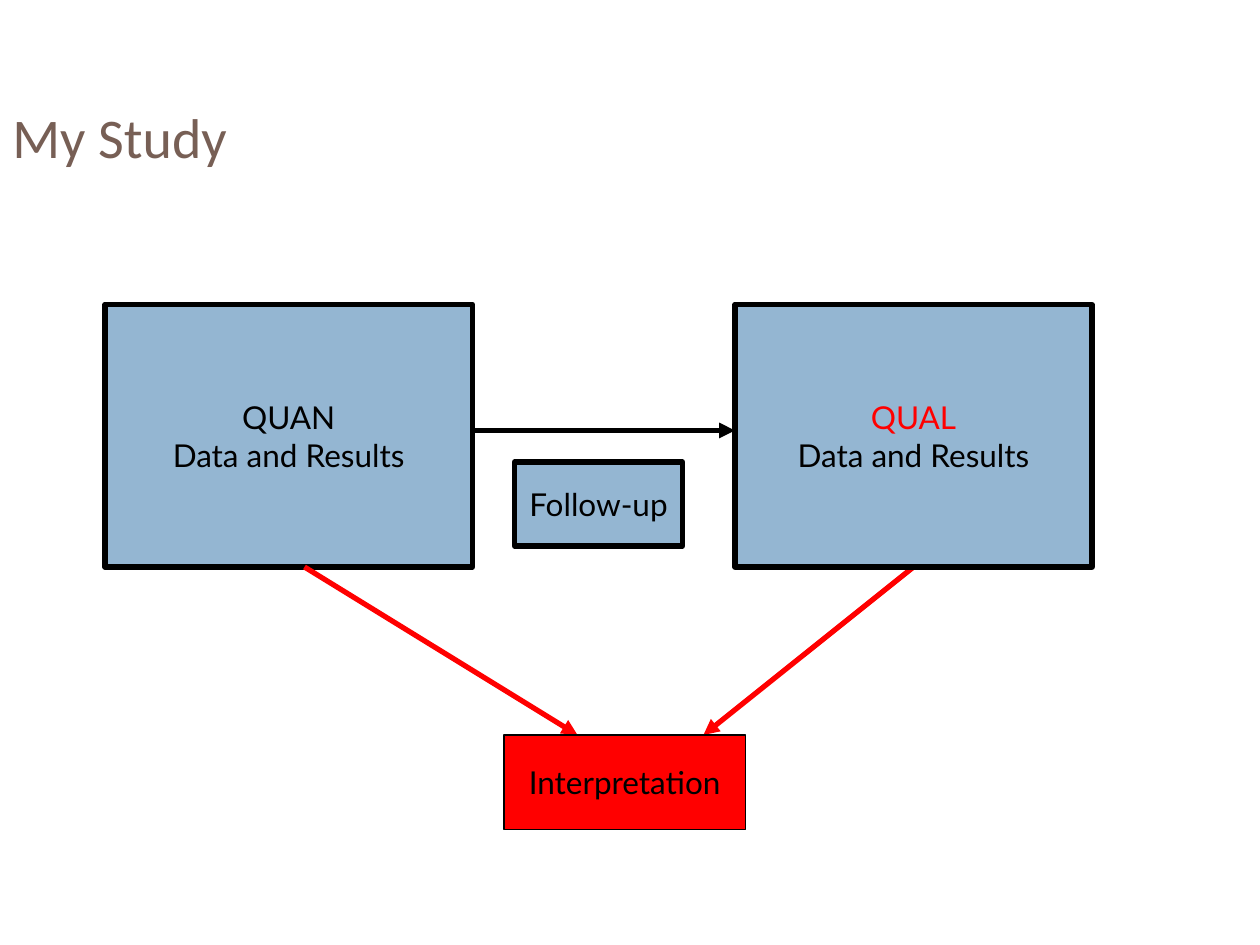
from dataclasses import dataclass

from lxml.etree import SubElement
from pptx import Presentation
from pptx.dml.color import RGBColor as Color
from pptx.enum.shapes import MSO_CONNECTOR as Connector, MSO_SHAPE as Shape
from pptx.enum.text import MSO_ANCHOR as Anchor, PP_ALIGN as Align
from pptx.oxml.ns import qn
from pptx.util import Inches, Pt


@dataclass(frozen=True)
class Theme:
    title: str = "775F55"
    blue: str = "94B6D2"
    red: str = "FF0000"
    black: str = "000000"
    title_font: str = "Calibri"
    body_font: str = "Lato"
    title_size: int = 32
    body_size: int = 18
    thick: float = 3
    thin: float = 0.75


THEME = Theme()
WIDTH, HEIGHT = 10, 7.5
COLUMNS = 120
CELL = WIDTH / COLUMNS

TITLE = ("My Study", (0, 4, 108, 18))
DATA_LINE = ("Data and Results", THEME.black)
FIRST_BOXES = [
    ((10, 29, 35, 25), THEME.blue, THEME.thick, [("QUAN", THEME.black), DATA_LINE]),
    ((49, 44, 16, 8), THEME.blue, THEME.thick, [("Follow-up", THEME.black)]),
]
ARROWS = [
    ((45, 41), (70, 41), THEME.black),
    ((29, 54), (55, 70), THEME.red),
    ((87, 54), (67, 70), THEME.red),
]
LAST_BOXES = [
    ((48, 70, 23, 9), THEME.red, THEME.thin, [("Interpretation", THEME.black)]),
    ((70, 29, 34, 25), THEME.blue, THEME.thick, [("QUAL", THEME.red), DATA_LINE]),
]


def cells(values):
    return [Inches(value * CELL) for value in values]


def style(para, font, size, color):
    for span in para.runs:
        span.font.name = font
        span.font.size = Pt(size)
        span.font.color.rgb = Color.from_string(color)


def add_title(page, text, place):
    frame = page.shapes.add_textbox(*cells(place)).text_frame
    frame.word_wrap = True
    frame.vertical_anchor = Anchor.MIDDLE
    frame.text = text
    style(frame.paragraphs[0], THEME.title_font, THEME.title_size, THEME.title)


def add_box(page, place, fill, weight, lines):
    box = page.shapes.add_shape(Shape.RECTANGLE, *cells(place))
    box.shadow.inherit = False
    box.fill.solid()
    box.fill.fore_color.rgb = Color.from_string(fill)
    box.line.color.rgb = Color.from_string(THEME.black)
    box.line.width = Pt(weight)
    frame = box.text_frame
    frame.word_wrap = False
    frame.vertical_anchor = Anchor.MIDDLE
    frame.text = "\n".join(text for text, color in lines)
    for para, (text, color) in zip(frame.paragraphs, lines):
        para.alignment = Align.CENTER
        style(para, THEME.body_font, THEME.body_size, color)


def add_arrow(page, start, end, color):
    arrow = page.shapes.add_connector(Connector.STRAIGHT, *cells(start + end))
    arrow.line.color.rgb = Color.from_string(color)
    arrow.line.width = Pt(THEME.thick)
    SubElement(arrow.line._get_or_add_ln(), qn("a:tailEnd"), type="triangle")
    SubElement(arrow._element.spPr, qn("a:effectLst"))


def main():
    deck = Presentation()
    deck.slide_width, deck.slide_height = Inches(WIDTH), Inches(HEIGHT)
    page = deck.slides.add_slide(deck.slide_layouts[6])
    add_title(page, *TITLE)
    for box in FIRST_BOXES:
        add_box(page, *box)
    for arrow in ARROWS:
        add_arrow(page, *arrow)
    for box in LAST_BOXES:
        add_box(page, *box)
    deck.save("out.pptx")


if __name__ == "__main__":
    main()
